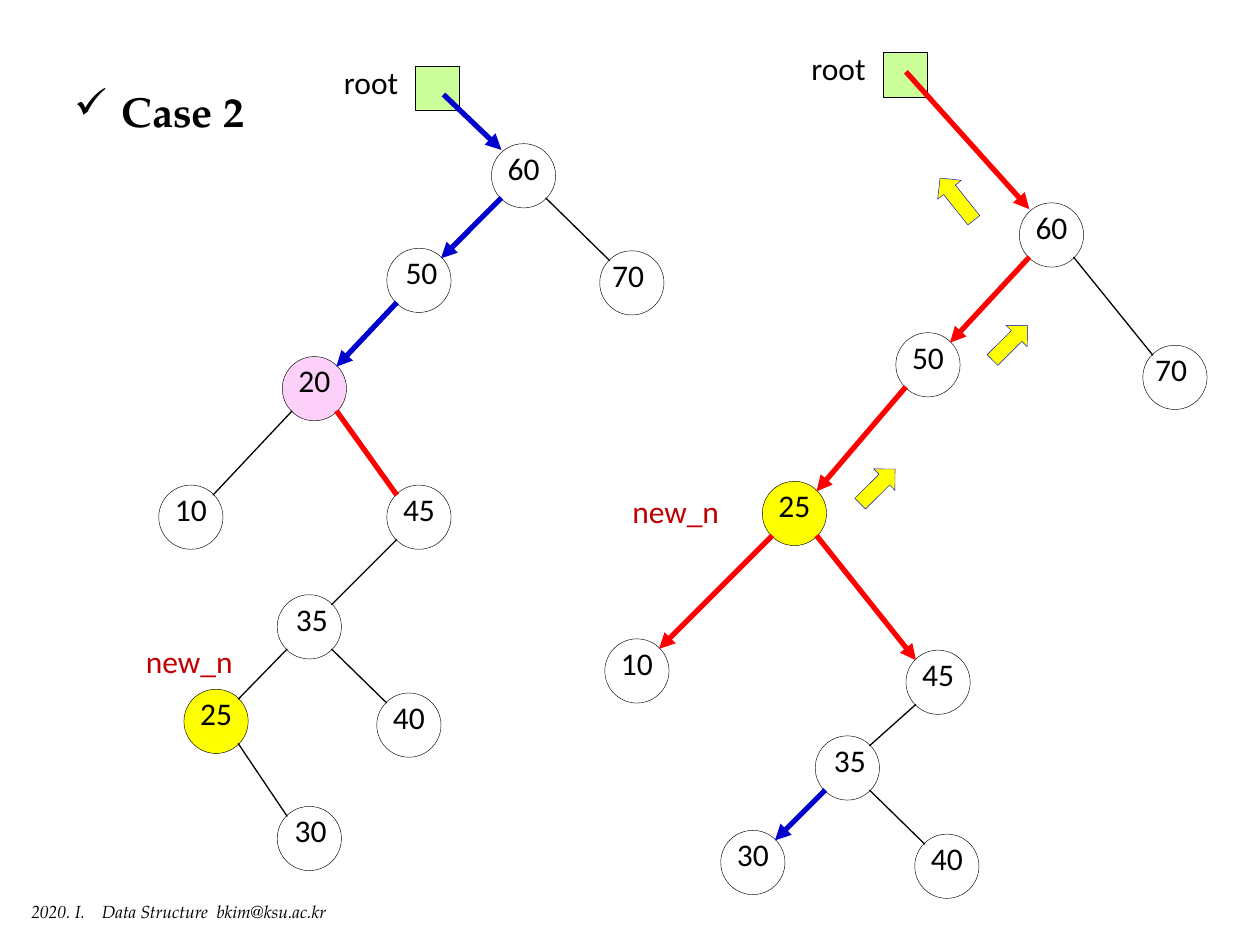
from dataclasses import dataclass
from typing import Optional
from lxml.etree import SubElement as Sub
from pptx import Presentation
from pptx.dml.color import RGBColor
from pptx.enum.shapes import MSO_CONNECTOR as Link, MSO_SHAPE as Form
from pptx.enum.text import MSO_AUTO_SIZE as Fit, PP_ALIGN as Align
from pptx.oxml.ns import qn
from pptx.util import Inches, Pt

BLACK, WHITE, RED, BLUE = "000000", "FFFFFF", "FF0000", "0000CC"
YELLOW, PINK, GREEN, WINE = "FFFF00", "FCD0F8", "CCFF99", "C00000"
SANS, SERIF = "Calibri", "TeX Gyre Pagella"

deck = Presentation()
deck.slide_width, deck.slide_height = Inches(10), Inches(7.5)
slide = deck.slides.add_slide(deck.slide_layouts[6])
CELL = deck.slide_width // 1000  # grid of 1000 columns by 750 rows
SIZE, NEAR, FAR = 51, 8, 43  # node width, and where edges touch it
ROOT = 35  # side of the root box


@dataclass(frozen=True)
class Edge:
    color: str = BLACK
    width: float = 0.75
    arrow: bool = False


THIN = Edge()
BOLD = Edge(RED, 3)
RED_GO = Edge(RED, 3, True)
BLUE_GO = Edge(BLUE, 3, True)


@dataclass
class Node:
    key: str
    col: int
    row: int
    up: Optional[str] = None  # key of the parent
    edge: Edge = THIN  # edge from the parent
    fill: str = WHITE
    nudge: int = 0  # label shift to the right


@dataclass
class Tree:
    root: tuple  # root box, left and top
    start: tuple  # start of the root arrow
    edge: Edge
    tag: tuple  # place of the new_n label
    nodes: list


@dataclass
class Hint:
    col: int
    row: int
    width: int
    turn: float


def grid(*spots: int) -> list:
    return [spot * CELL for spot in spots]


def rgb(code: str) -> RGBColor:
    return RGBColor.from_string(code)


def shape(form: Form, box: tuple, fill: str, line: str, width: float):
    item = slide.shapes.add_shape(form, *grid(*box))
    item.shadow.inherit = False
    item.fill.solid()
    item.fill.fore_color.rgb = rgb(fill)
    item.line.color.rgb = rgb(line)
    item.line.width = Pt(width)
    return item


def draw(edge: Edge, start: tuple, end: tuple) -> None:
    item = slide.shapes.add_connector(Link.STRAIGHT, *grid(*start, *end))
    item.line.color.rgb = rgb(edge.color)
    item.line.width = Pt(edge.width)
    props = item._element.spPr
    if edge.arrow:
        Sub(props.find(qn("a:ln")), qn("a:tailEnd"), type="triangle")
    Sub(props, qn("a:effectLst"))


def text(words: str, box: tuple, color: str = BLACK, size: int = 18,
         face: str = SANS, bold: bool = False, slant: bool = False,
         mid: bool = False, mark: str = "", tabs: tuple = ()) -> None:
    frame = slide.shapes.add_textbox(*grid(*box)).text_frame
    frame.word_wrap = mid
    frame.auto_size = Fit.SHAPE_TO_FIT_TEXT
    para = frame.paragraphs[0]
    para.text = words
    para.alignment = Align.CENTER if mid else Align.LEFT
    props = para._p.get_or_add_pPr()
    if mark:
        props.set("marL", str(38 * CELL))
        props.set("indent", str(-38 * CELL))
        Sub(props, qn("a:buChar"), char=mark)
    if tabs:
        stops = Sub(props, qn("a:tabLst"))
        for stop in tabs:
            Sub(stops, qn("a:tab"), pos=str(stop * CELL), algn="l")
    font = para.font
    font.name, font.size, font.bold, font.italic = face, Pt(size), bold, slant
    font.color.rgb = rgb(color)


def join(top: Node, low: Node) -> None:
    """Run an edge between the facing corners of two nodes."""
    out, into = (FAR, NEAR) if low.col > top.col else (NEAR, FAR)
    draw(low.edge, (top.col + out, top.row + FAR),
         (low.col + into, low.row + NEAR))


def plant(tree: Tree) -> None:
    # Root box with its label
    left, top = tree.root
    text("root", (left - 75, top - 8, 79, 40), mid=True)
    shape(Form.RECTANGLE, (left, top, ROOT, ROOT), GREEN, BLACK, 0.5)
    # Circles, then edges, then keys
    for node in tree.nodes:
        shape(Form.OVAL, (node.col, node.row, SIZE, SIZE),
              node.fill, BLACK, 0.25)
    known = {node.key: node for node in tree.nodes}
    for node in tree.nodes:
        if node.up:
            join(known[node.up], node)
    head = tree.nodes[0]
    draw(tree.edge, tree.start, (head.col + NEAR, head.row + 5))
    for node in tree.nodes:
        text(node.key, (node.col - 5 + node.nudge, node.row - 1, 61, 40),
             mid=True)
    text("new_n", (*tree.tag, 90, 40), WINE)


before = Tree((330, 53), (352, 75), BLUE_GO, (106, 505), [
    Node("60", 390, 114),
    Node("50", 307, 197, "60", BLUE_GO, nudge=2),
    Node("70", 476, 199, "60", nudge=-3),
    Node("20", 224, 283, "50", BLUE_GO, PINK),
    Node("10", 126, 385, "20"),
    Node("45", 307, 385, "20", BOLD),
    Node("35", 220, 472, "45", nudge=2),
    Node("25", 146, 547, "35", fill=YELLOW),
    Node("40", 299, 550, "35"),
    Node("30", 220, 640, "25", nudge=1),
])
after = Tree((701, 42), (719, 57), RED_GO, (492, 386), [
    Node("60", 809, 161),
    Node("50", 711, 264, "60", RED_GO),
    Node("70", 907, 274, "60", nudge=-3),
    Node("25", 605, 382, "50", RED_GO, YELLOW),
    Node("10", 480, 507, "25", RED_GO),
    Node("45", 719, 516, "25", RED_GO),
    Node("35", 647, 584, "45", nudge=2),
    Node("30", 572, 659, "35", BLUE_GO),
    Node("40", 726, 662, "35"),
])
hints = [Hint(677, 374, 39, 315.2), Hint(782, 260, 39, 315.2),
         Hint(738, 146, 43, 231.3)]

# Title and footer
text("Case 2", (49, 63, 156, 50), size=24, face=SERIF, bold=True, mark="✓")
text("2020. I.\tData Structure\tbkim@ksu.ac.kr", (15, 710, 258, 27),
     size=10, face=SERIF, slant=True, tabs=(56, 147))

# Both trees
for tree in (before, after):
    plant(tree)

# Block arrows for the way back up
for hint in hints:
    item = shape(Form.RIGHT_ARROW, (hint.col, hint.row, hint.width, 24),
                 YELLOW, BLUE, 0.25)
    item.rotation = hint.turn

deck.save("out.pptx")
